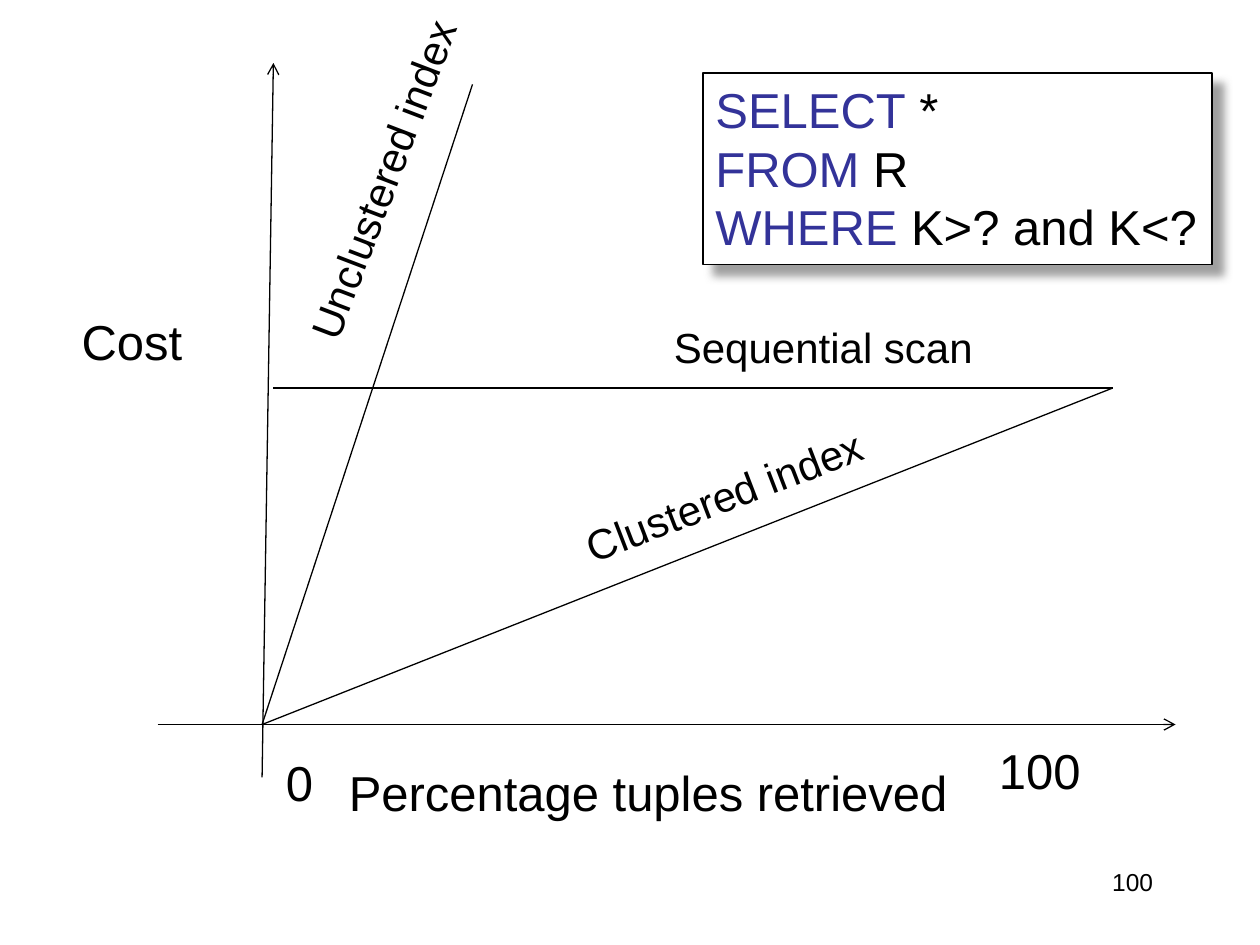
from lxml.etree import SubElement
from pptx import Presentation
from pptx.dml.color import RGBColor
from pptx.enum.shapes import MSO_CONNECTOR, MSO_SHAPE
from pptx.enum.text import MSO_ANCHOR, MSO_AUTO_SIZE, PP_ALIGN
from pptx.oxml import parse_xml
from pptx.oxml.ns import nsdecls, qn
from pptx.util import Inches, Pt

BLACK = RGBColor(0x00, 0x00, 0x00)
WHITE = RGBColor(0xFF, 0xFF, 0xFF)
KEYWORD_BLUE = RGBColor(0x33, 0x33, 0x99)
FONT = "Arial"

ORIGIN = (2.08, 5.75)
SCAN_END = (8.83, 3.08)
AXES = [
    ((2.08, 6.17), (2.17, 0.5)),
    ((1.25, 5.75), (9.33, 5.75)),
]
COST_LINES = [
    ((2.17, 3.08), SCAN_END),
    (ORIGIN, SCAN_END),
    (ORIGIN, (3.75, 0.67)),
]
LABELS = [
    ("Percentage tuples retrieved", 2.67, 6, 4.97, 0.57, 28, 0),
    ("Cost", 0.55, 2.42, 1, 0.57, 28, 0),
    ("0", 2.17, 5.92, 0.42, 0.57, 28, 0),
    ("100", 7.83, 5.83, 0.85, 0.57, 28, 0),
    ("Sequential scan", 5.25, 2.5, 2.58, 0.5, 24, 0),
    ("Clustered index", 4.49, 3.68, 2.52, 0.5, 24, 338.9),
    ("Unclustered index", 1.6, 1.17, 2.87, 0.5, 24, 290.8),
]
QUERY = [("SELECT", " *"), ("FROM", " R"), ("WHERE", " K>? and K<?")]


def set_font(font, size, color=BLACK):
    """Apply the slide's typeface with a size and colour."""
    font.name = FONT
    font.size = Pt(size)
    font.color.rgb = color


def add_line(slide, start, end, arrow=False):
    """Draw a thin black line, optionally with an arrowhead at its end."""
    points = [Inches(value) for value in (*start, *end)]
    connector = slide.shapes.add_connector(MSO_CONNECTOR.STRAIGHT, *points)
    connector.line.color.rgb = BLACK
    connector.line.width = Pt(0.75)
    if arrow:
        line = connector.line._get_or_add_ln()
        SubElement(line, qn("a:tailEnd"), type="arrow")
    SubElement(connector._element.spPr, qn("a:effectLst"))


def add_label(slide, text, left, top, width, height, size, rotation=0):
    """Add a one-line label that fits its text."""
    box = slide.shapes.add_textbox(
        Inches(left), Inches(top), Inches(width), Inches(height)
    )
    box.rotation = rotation
    frame = box.text_frame
    frame.word_wrap = False
    frame.auto_size = MSO_AUTO_SIZE.SHAPE_TO_FIT_TEXT
    frame.text = text
    set_font(frame.paragraphs[0].font, size)


def add_page_number(slide, text):
    """Add the right-aligned page number."""
    box = slide.shapes.add_textbox(
        Inches(7.17), Inches(6.83), Inches(2.08), Inches(0.5)
    )
    box.text_frame.word_wrap = True
    paragraph = box.text_frame.paragraphs[0]
    paragraph.text = text
    paragraph.alignment = PP_ALIGN.RIGHT
    set_font(paragraph.font, 14)


def add_shadow(shape):
    """Give a shape a soft grey shadow to its lower right."""
    shape._element.spPr.append(parse_xml(
        f'<a:effectLst {nsdecls("a")}>'
        f'<a:outerShdw blurRad="{Pt(5)}" dist="{Pt(8.5)}" dir="2700000" '
        'algn="tl" rotWithShape="0"><a:srgbClr val="808080">'
        '<a:alpha val="75000"/></a:srgbClr></a:outerShdw></a:effectLst>'
    ))


def add_query(slide):
    """Add the SQL query box with coloured keywords."""
    box = slide.shapes.add_shape(
        MSO_SHAPE.RECTANGLE,
        Inches(5.58), Inches(0.58), Inches(4.04), Inches(1.52),
    )
    box.fill.solid()
    box.fill.fore_color.rgb = WHITE
    box.line.color.rgb = BLACK
    box.line.width = Pt(1)
    add_shadow(box)
    frame = box.text_frame
    frame.word_wrap = False
    frame.auto_size = MSO_AUTO_SIZE.SHAPE_TO_FIT_TEXT
    frame.vertical_anchor = MSO_ANCHOR.TOP
    paragraph = frame.paragraphs[0]
    paragraph.alignment = PP_ALIGN.LEFT
    for index, clause in enumerate(QUERY):
        if index:
            paragraph.add_line_break()
        for text, color in zip(clause, (KEYWORD_BLUE, BLACK)):
            run = paragraph.add_run()
            run.text = text
            set_font(run.font, 28, color)


def main():
    """Build the index cost slide and save it."""
    presentation = Presentation()
    presentation.slide_width = Inches(10)
    presentation.slide_height = Inches(7.5)
    slide = presentation.slides.add_slide(presentation.slide_layouts[6])
    add_page_number(slide, "100")
    for start, end in AXES:
        add_line(slide, start, end, arrow=True)
    for start, end in COST_LINES:
        add_line(slide, start, end)
    for label in LABELS:
        add_label(slide, *label)
    add_query(slide)
    presentation.save("out.pptx")


if __name__ == "__main__":
    main()
